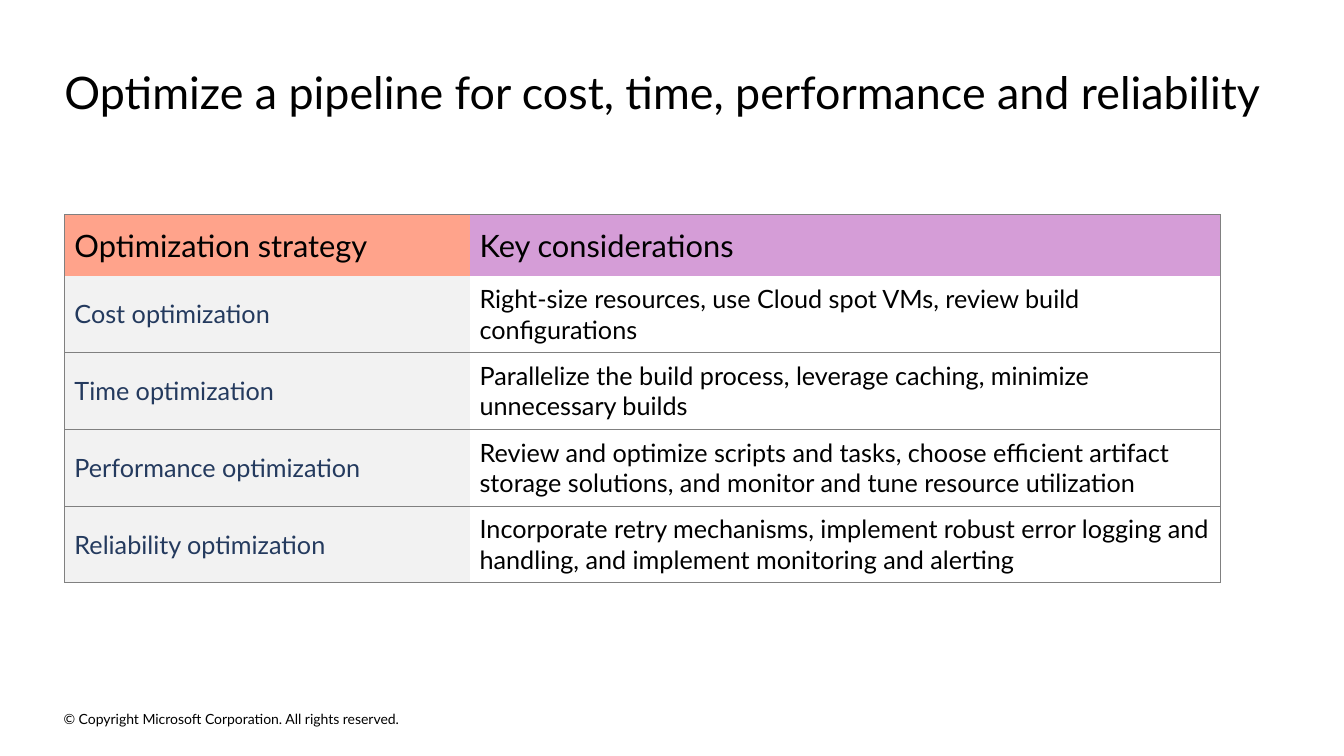
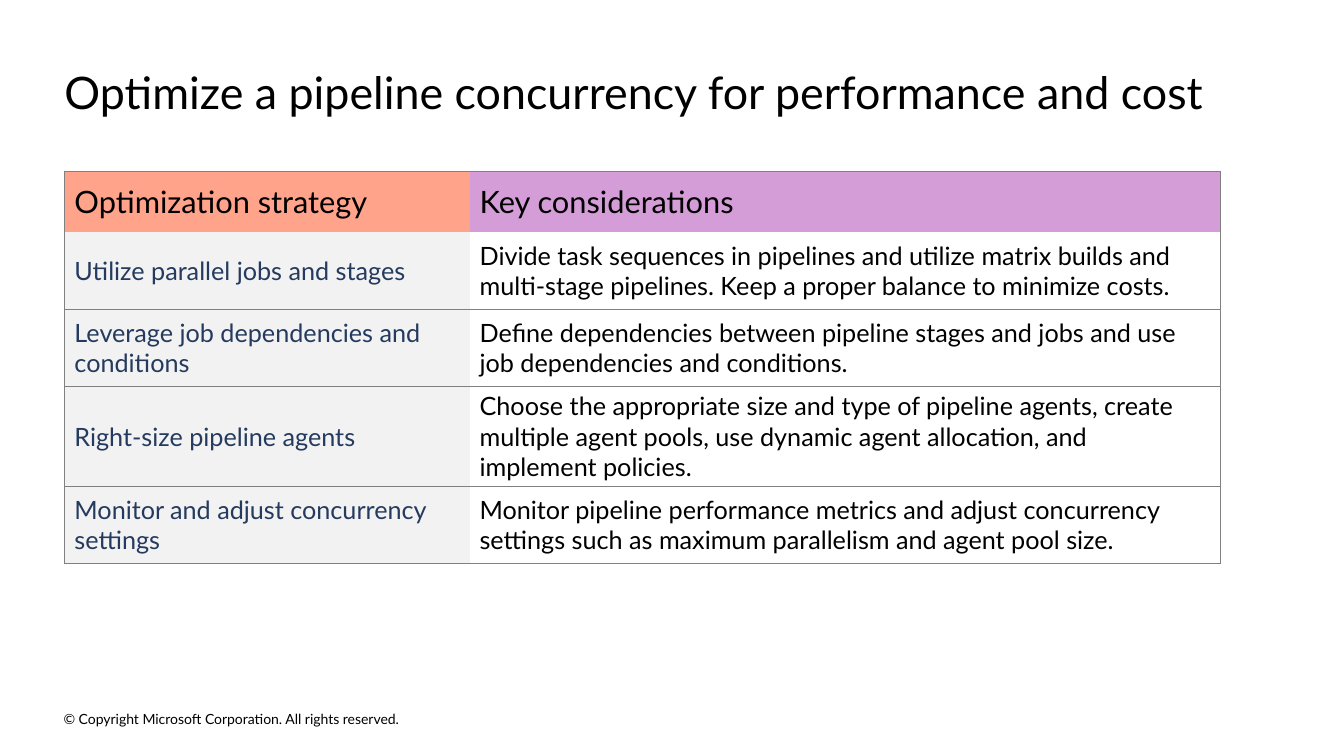
from lxml import etree
from pptx import Presentation
from pptx.dml.color import RGBColor
from pptx.enum.text import MSO_ANCHOR
from pptx.oxml.ns import qn
from pptx.util import Pt

FOOTER = "© Copyright Microsoft Corporation. All rights reserved."
HEADER = ("Optimization strategy", "Key considerations")
SLIDES = [
    {
        "title": "Optimize a pipeline for cost, time, performance and reliability",
        "table_top": 153.4,
        "rows": [
            ("Cost optimization",
             "Right-size resources, use Cloud spot VMs, review build configurations"),
            ("Time optimization",
             "Parallelize the build process, leverage caching, minimize unnecessary builds"),
            ("Performance optimization",
             "Review and optimize scripts and tasks, choose efficient artifact "
             "storage solutions, and monitor and tune resource utilization"),
            ("Reliability optimization",
             "Incorporate retry mechanisms, implement robust error logging and "
             "handling, and implement monitoring and alerting"),
        ],
    },
    {
        "title": "Optimize a pipeline concurrency for performance and cost",
        "table_top": 122.4,
        "rows": [
            ("Utilize parallel jobs and stages",
             "Divide task sequences in pipelines and utilize matrix builds and "
             "multi-stage pipelines. Keep a proper balance to minimize costs."),
            ("Leverage job dependencies and conditions",
             "Define dependencies between pipeline stages and jobs and use "
             "job dependencies and conditions."),
            ("Right-size pipeline agents",
             "Choose the appropriate size and type of pipeline agents, create "
             "multiple agent pools, use dynamic agent allocation, and implement policies."),
            ("Monitor and adjust concurrency settings",
             "Monitor pipeline performance metrics and adjust concurrency "
             "settings such as maximum parallelism and agent pool size."),
        ],
    },
]

COLORS = {"black": "000000", "navy": "243A5E", "coral": "FFA38B", "orchid": "D59DD7",
          "light": "F2F2F2", "white": "FFFFFF", "rule": "808080"}
# (fill, text) colour of each column
HEADER_COLORS = [("coral", "black"), ("orchid", "black")]
BODY_COLORS = [("light", "navy"), ("white", "black")]

FONT = "Lato"
LEFT = 46
COL_WIDTHS = (289.4, 536.4)
HEADER_HEIGHT, ROW_HEIGHT = 43.6, 54.8
TITLE = {"box": (LEFT, 46, 867, 39), "size": 32, "anchor": MSO_ANCHOR.TOP}
FOOTER_STYLE = {"box": (45.4, 505.4, 327, 16), "size": 10, "anchor": MSO_ANCHOR.MIDDLE}


def rgb(name):
    return RGBColor.from_string(COLORS[name])


def write(tf, text, size, color="black"):
    p = tf.paragraphs[0]
    r = p.add_run()
    r.text = text
    for key, value in {"name": FONT, "size": Pt(size)}.items():
        setattr(r.font, key, value)
    r.font.color.rgb = rgb(color)


def add_text(s, text, style):
    tf = s.shapes.add_textbox(*map(Pt, style["box"])).text_frame
    for side in ("left", "top", "right", "bottom"):
        setattr(tf, f"margin_{side}", 0)
    tf.word_wrap = True
    tf.vertical_anchor = style["anchor"]
    write(tf, text, style["size"])


def set_borders(cell, visible):
    """Rule the sides named in visible (letters of LRTB) and clear the others."""
    tc_pr = cell._tc.get_or_add_tcPr()
    for i, side in enumerate("LRTB"):
        ln = etree.Element(qn(f"a:ln{side}"), w=str(Pt(0.5)))
        if side in visible:
            fill = etree.SubElement(ln, qn("a:solidFill"))
            etree.SubElement(fill, qn("a:srgbClr"), val=COLORS["rule"])
        else:
            etree.SubElement(ln, qn("a:noFill"))
        tc_pr.insert(i, ln)


def add_strategy_table(s, top, body):
    rows = [HEADER, *body]
    height = HEADER_HEIGHT + ROW_HEIGHT * len(body)
    table = s.shapes.add_table(len(rows), len(HEADER), Pt(LEFT), Pt(top),
                               Pt(sum(COL_WIDTHS)), Pt(height)).table
    table.horz_banding = table.first_row = False
    for col, width in zip(table.columns, COL_WIDTHS):
        col.width = Pt(width)
    for i, row in enumerate(rows):
        is_header = i == 0
        table.rows[i].height = Pt(HEADER_HEIGHT if is_header else ROW_HEIGHT)
        colors = HEADER_COLORS if is_header else BODY_COLORS
        # No rule between the header and the first body row
        across = {0: "T", 1: "B"}.get(i, "TB")
        for j, (text, (fill, color)) in enumerate(zip(row, colors)):
            cell = table.cell(i, j)
            cell.fill.solid()
            cell.fill.fore_color.rgb = rgb(fill)
            cell.vertical_anchor = MSO_ANCHOR.MIDDLE
            write(cell.text_frame, text, 22 if is_header else 18, color)
            set_borders(cell, across + "LR"[j])


def main():
    prs = Presentation()
    prs.slide_width, prs.slide_height = Pt(960), Pt(540)
    for content in SLIDES:
        s = prs.slides.add_slide(prs.slide_layouts[6])
        add_text(s, FOOTER, FOOTER_STYLE)
        add_text(s, content["title"], TITLE)
        add_strategy_table(s, content["table_top"], content["rows"])
    prs.save("out.pptx")


if __name__ == "__main__":
    main()
